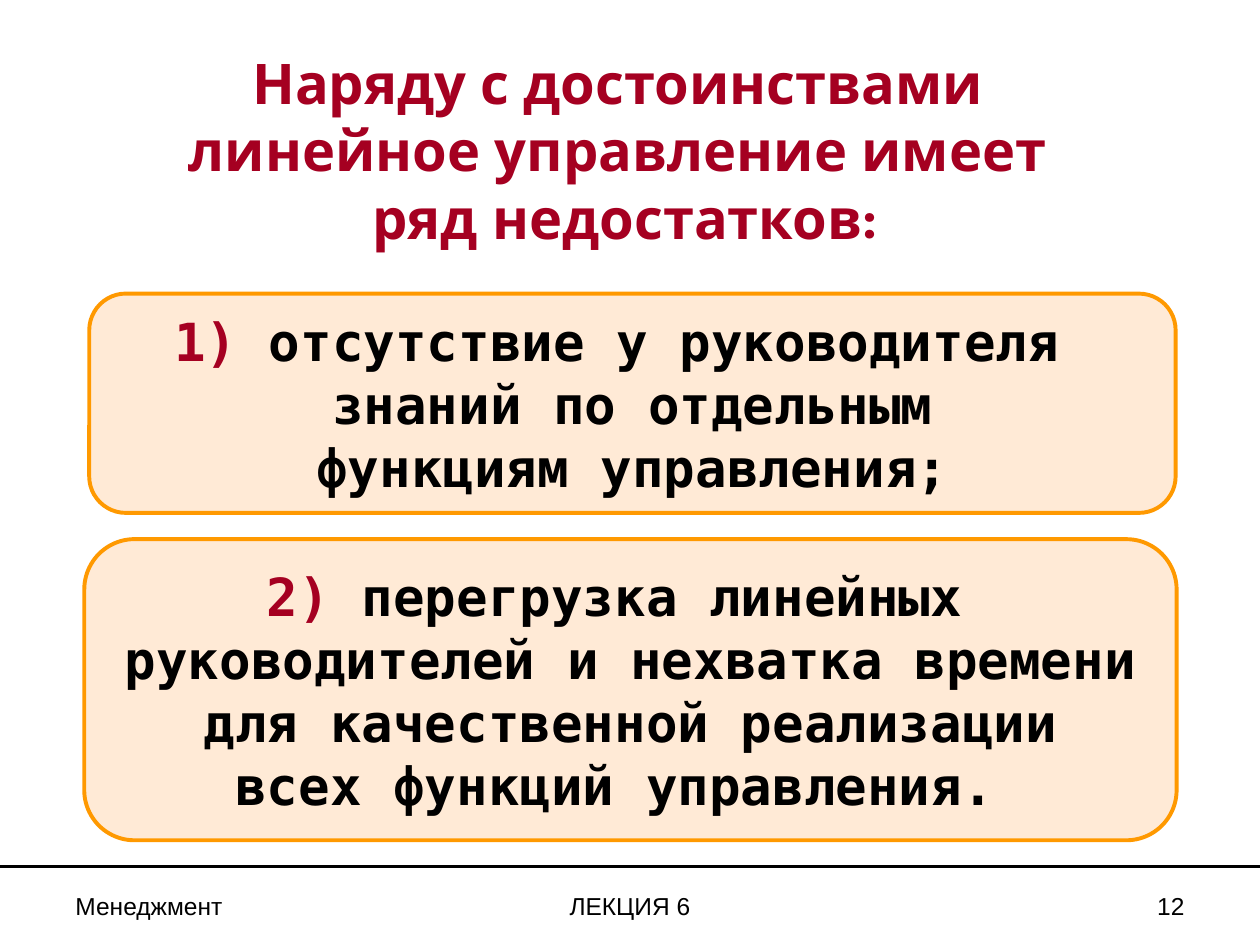
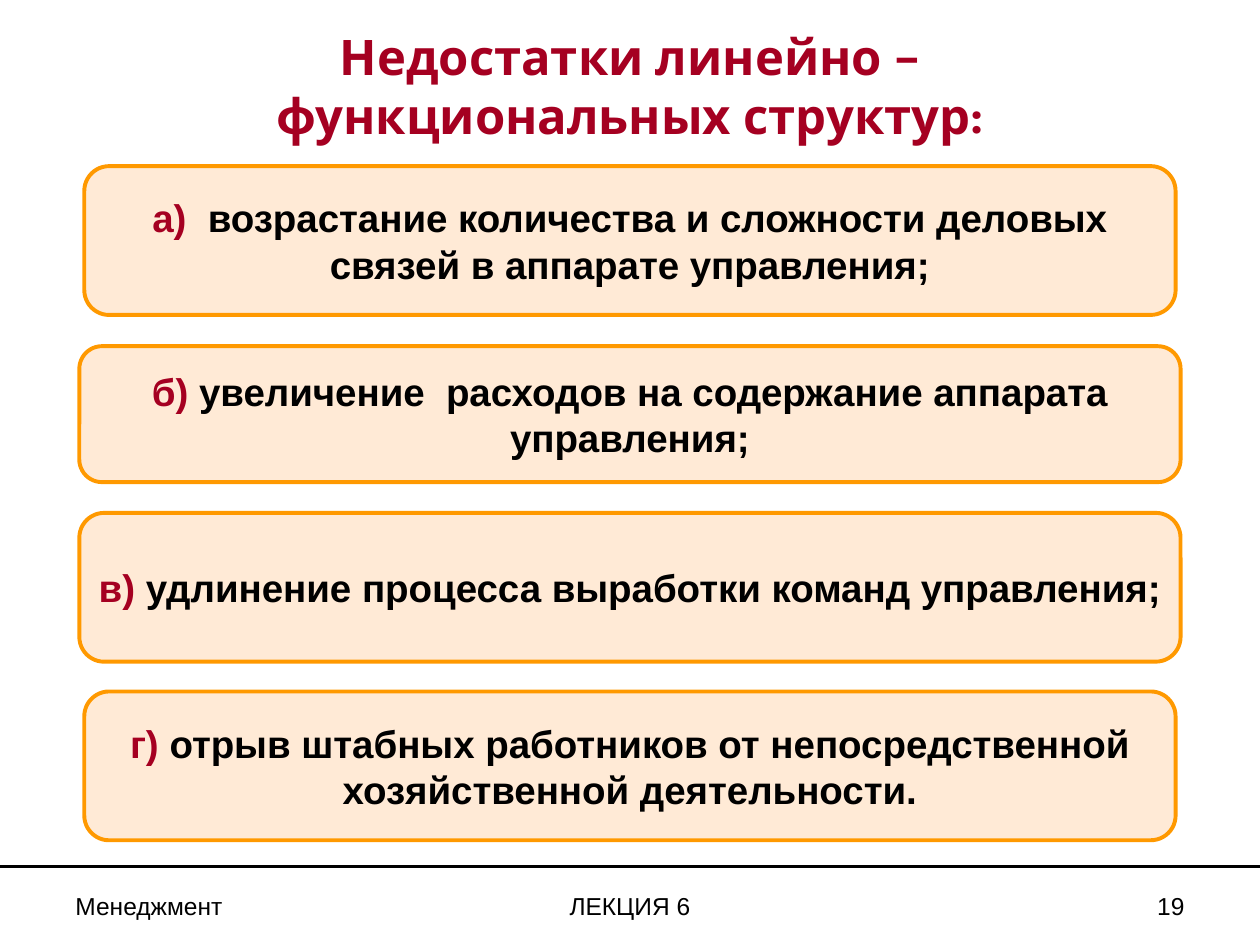
from lxml.etree import SubElement
from pptx import Presentation
from pptx.dml.color import RGBColor
from pptx.enum.shapes import MSO_CONNECTOR, MSO_SHAPE
from pptx.enum.text import MSO_ANCHOR, MSO_AUTO_SIZE, PP_ALIGN
from pptx.oxml.ns import qn
from pptx.util import Cm, Pt

WIDTH, HEIGHT = 25.4, 19.05


def paint(color, value):
    color.rgb = RGBColor.from_string(value)


def add_text(p, text, font="Arial", size=14, color="000000", bold=False):
    """Add text to a paragraph; each newline becomes a line break."""
    for i, line in enumerate(text.split("\n")):
        if i:
            p.add_line_break()
        r = p.add_run()
        r.text = line
        r.font.name, r.font.size, r.font.bold = font, Pt(size), bold
        paint(r.font.color, color)


class Deck:
    ACCENT, FILL, BORDER, INK = "A50021", "FFCC99", "FF9900", "000000"
    TITLE_FONT = "Karla"

    def __init__(self):
        self.prs = Presentation()
        self.prs.slide_width, self.prs.slide_height = Cm(WIDTH), Cm(HEIGHT)
        self.s = None

    def slide(self, number):
        self.s = self.prs.slides.add_slide(self.prs.slide_layouts[5])
        self.rule(17.47)
        self.footer(1.27, 5.92, "Менеджмент", PP_ALIGN.LEFT)
        self.footer(8.68, 8.04, "ЛЕКЦИЯ 6", PP_ALIGN.CENTER)
        self.footer(18.21, 5.92, str(number), PP_ALIGN.RIGHT)

    def frame(self, shape, anchor=MSO_ANCHOR.TOP, wrap=True):
        tf = shape.text_frame
        tf.auto_size = MSO_AUTO_SIZE.NONE
        tf.word_wrap, tf.vertical_anchor = wrap, anchor
        tf.margin_left = tf.margin_right = Cm(0.25)
        tf.margin_top = tf.margin_bottom = Cm(0.13)
        return tf

    def rule(self, y):
        line = self.s.shapes.add_connector(
            MSO_CONNECTOR.STRAIGHT, Cm(0), Cm(y), Cm(WIDTH), Cm(y))
        line.line.width = Pt(1.5)
        paint(line.line.color, self.INK)
        SubElement(line._element.spPr, qn("a:effectLst"))

    def footer(self, left, width, text, align):
        box = self.s.shapes.add_textbox(Cm(left), Cm(17.83), Cm(width), Cm(0.86))
        p = self.frame(box).paragraphs[0]
        p.alignment = align
        add_text(p, text, color=self.INK)

    def title(self, left, top, width, height, text, size):
        sp = self.s.shapes.title
        sp.left, sp.top = Cm(left), Cm(top)
        sp.width, sp.height = Cm(width), Cm(height)
        p = self.frame(sp).paragraphs[0]
        p.alignment = PP_ALIGN.CENTER
        add_text(p, text, self.TITLE_FONT, size, self.ACCENT, True)

    def card(self, left, top, width, height, marker, paragraphs, font, size):
        sp = self.s.shapes.add_shape(MSO_SHAPE.ROUNDED_RECTANGLE, Cm(left),
                                     Cm(top), Cm(width), Cm(height))
        sp.shadow.inherit = False
        sp.fill.solid()
        paint(sp.fill.fore_color, self.FILL)
        rgb = sp._element.spPr.find(qn("a:solidFill")).find(qn("a:srgbClr"))
        SubElement(rgb, qn("a:alpha"), val="40000")
        sp.line.width = Pt(2.25)
        paint(sp.line.color, self.BORDER)

        tf = self.frame(sp, MSO_ANCHOR.MIDDLE, wrap=False)
        for i, text in enumerate(paragraphs):
            p = tf.add_paragraph() if i else tf.paragraphs[0]
            p.alignment = PP_ALIGN.CENTER
            if i == 0:
                add_text(p, marker, font, size, self.ACCENT, True)
            add_text(p, text, font, size, self.INK, True)


def main():
    deck = Deck()

    # Drawbacks of linear management
    deck.slide(12)
    deck.title(1.7, 0.85, 21.8, 4.32,
               "Наряду с достоинствами \nлинейное управление имеет \nряд недостатков:", 32)
    mono = "DejaVu Sans Mono"
    deck.card(1.8, 5.92, 21.9, 4.42, "1)",
              [" отсутствие у руководителя \nзнаний по отдельным\nфункциям управления;"],
              mono, 30)
    deck.card(1.7, 10.87, 22.02, 6.07, "2)",
              [" перегрузка линейных \nруководителей и нехватка времени\n"
               "для качественной реализации\nвсех функций управления. "],
              mono, 30)

    # Drawbacks of linear-functional structures
    deck.slide(19)
    deck.title(1.9, 0.4, 21.6, 2.8,
               "Недостатки линейно –\nфункциональных структур:", 28)
    drawbacks = [
        (3.35, 22, 3, "а)", ["  возрастание количества и сложности деловых",
                             "связей в аппарате управления;"]),
        (6.98, 22.2, 2.74, "б)", [" увеличение  расходов на содержание аппарата",
                                  "управления;"]),
        (10.34, 22.2, 3, "в)", [" удлинение процесса выработки команд управления;"]),
        (13.94, 22, 3, "г)", [" отрыв штабных работников от непосредственной",
                              "хозяйственной деятельности."]),
    ]
    for top, width, height, marker, paragraphs in drawbacks:
        deck.card((WIDTH - width) / 2, top, width, height, marker, paragraphs,
                  "Arial", 22)

    deck.prs.save("out.pptx")


if __name__ == "__main__":
    main()
